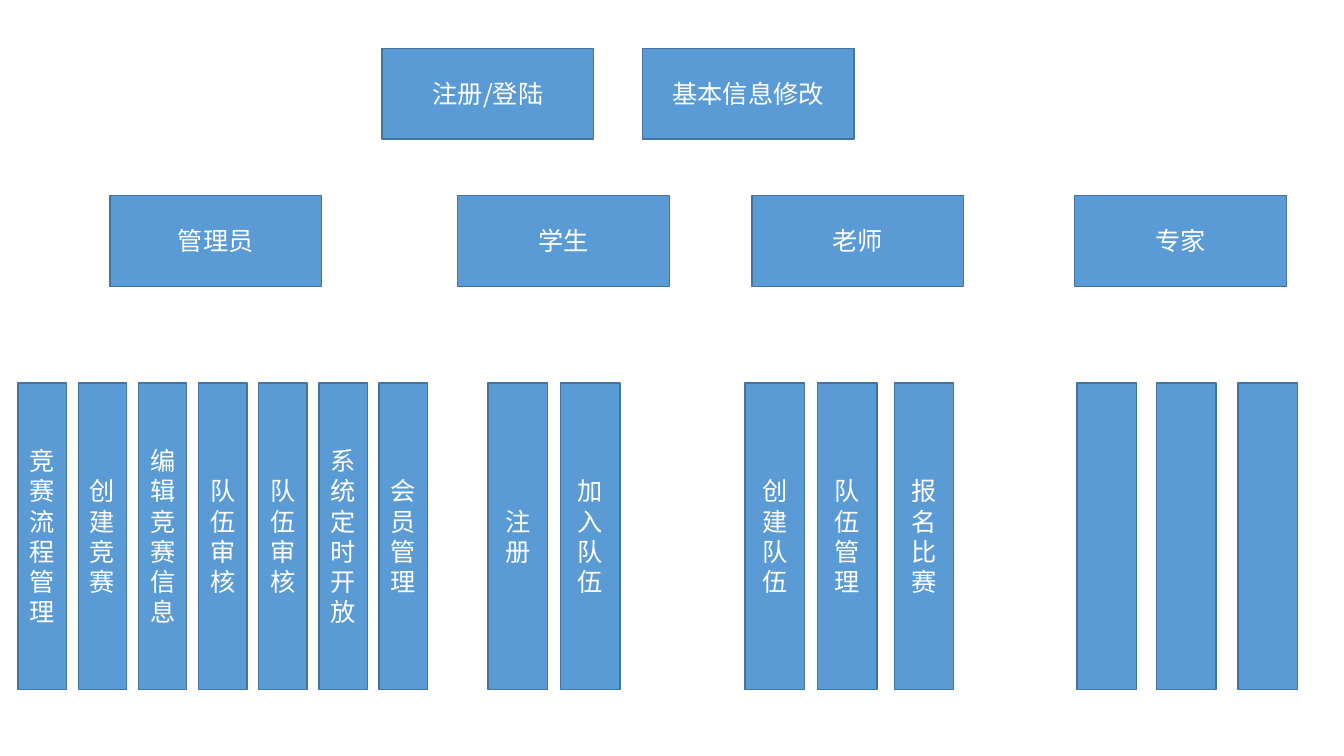
import pptx
import pptx.util
import pptx.dml.color
import pptx.enum.shapes
import pptx.enum.text
import pptx.oxml
import pptx.oxml.ns
from pptx.util import Inches

COLORS = {"box": "5B9BD5", "border": "43739E", "text": "FFFFFF"}
FONT = "Noto Sans CJK SC"


def rgb(name):
    return pptx.dml.color.RGBColor.from_string(COLORS[name])


class Chart:
    """Holds the box style and the slide being filled."""

    font_format = {"name": FONT, "size": pptx.util.Pt(18)}
    paragraph_format = {
        "alignment": pptx.enum.text.PP_ALIGN.CENTER,
        "line_spacing": pptx.util.Pt(21.6),
    }
    frame_format = {
        "word_wrap": True,
        "vertical_anchor": pptx.enum.text.MSO_ANCHOR.MIDDLE,
    }

    def __init__(self, slide):
        self.slide = slide

    def box(self, left, top, width, height, text):
        shape = self.slide.shapes.add_shape(
            pptx.enum.shapes.MSO_SHAPE.RECTANGLE,
            Inches(left), Inches(top), Inches(width), Inches(height))
        shape.shadow.inherit = False
        shape.fill.solid()
        shape.fill.fore_color.rgb = rgb("box")
        shape.line.color.rgb = rgb("border")
        shape.line.width = pptx.util.Pt(1)
        if text:
            self.label(shape.text_frame, text)

    def label(self, frame, text):
        paragraph = frame.paragraphs[0]
        run = paragraph.add_run()
        run.text = text
        for target, values in ((frame, self.frame_format),
                               (paragraph, self.paragraph_format),
                               (run.font, self.font_format)):
            for attribute, value in values.items():
                setattr(target, attribute, value)
        run.font.color.rgb = rgb("text")
        east_asian = pptx.oxml.parse_xml(
            f'<a:ea {pptx.oxml.ns.nsdecls("a")} typeface="{FONT}"/>')
        run.font._element.append(east_asian)

    def header(self, left, top, text):
        self.box(left, top, 2.1, 0.9, text)

    def column(self, left, width, text):
        """Tall box narrow enough to hold one character per line."""
        self.box(left, 3.8, width, 3.04, text)


def main():
    presentation = pptx.Presentation()
    presentation.slide_width = Inches(13.33)
    presentation.slide_height = Inches(7.5)
    chart = Chart(presentation.slides.add_slide(presentation.slide_layouts[6]))

    common_functions = [(3.79, "注册/登陆"), (6.37, "基本信息修改")]
    roles = [(1.09, "管理员"), (4.54, "学生"), (7.46, "老师"), (10.66, "专家")]
    for top, headers in ((0.48, common_functions), (1.94, roles)):
        for left, text in headers:
            chart.header(left, top, text)

    admin_functions = ["竞赛流程管理", "创建竞赛", "编辑竞赛信息", "队伍审核",
                       "队伍审核", "系统定时开放", "会员管理"]
    first, last = 0.18, 3.76
    pitch = (last - first) / (len(admin_functions) - 1)
    for index, text in enumerate(admin_functions):
        chart.column(first + index * pitch, 0.48, text)

    student_functions = [(4.84, "注册"), (5.56, "加入队伍")]
    teacher_functions = [(7.39, "创建队伍"), (8.11, "队伍管理"), (8.87, "报名比赛")]
    expert_functions = [(10.68, ""), (11.47, ""), (12.28, "")]
    for left, text in student_functions + teacher_functions + expert_functions:
        chart.column(left, 0.59, text)

    presentation.save("out.pptx")


if __name__ == "__main__":
    main()
